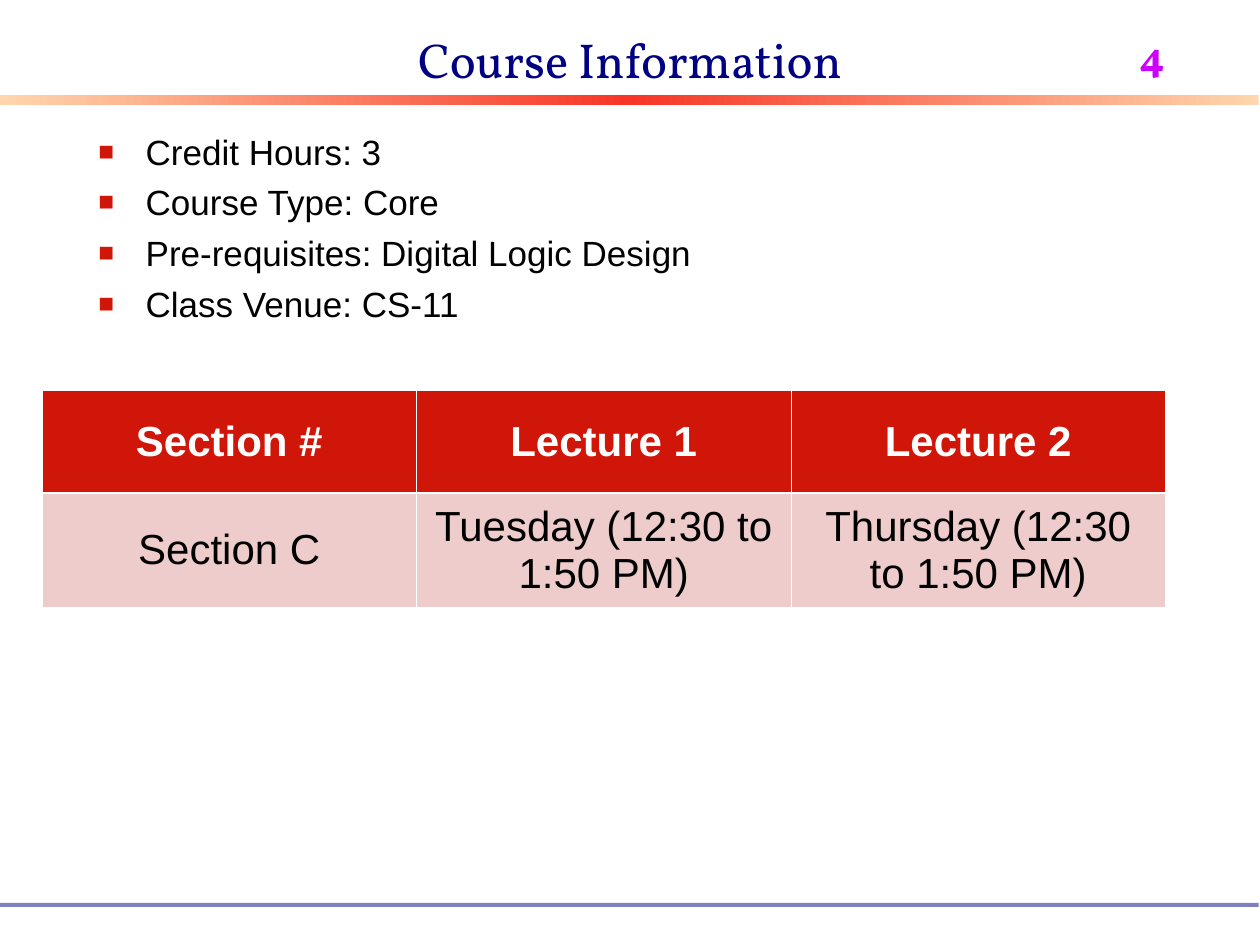
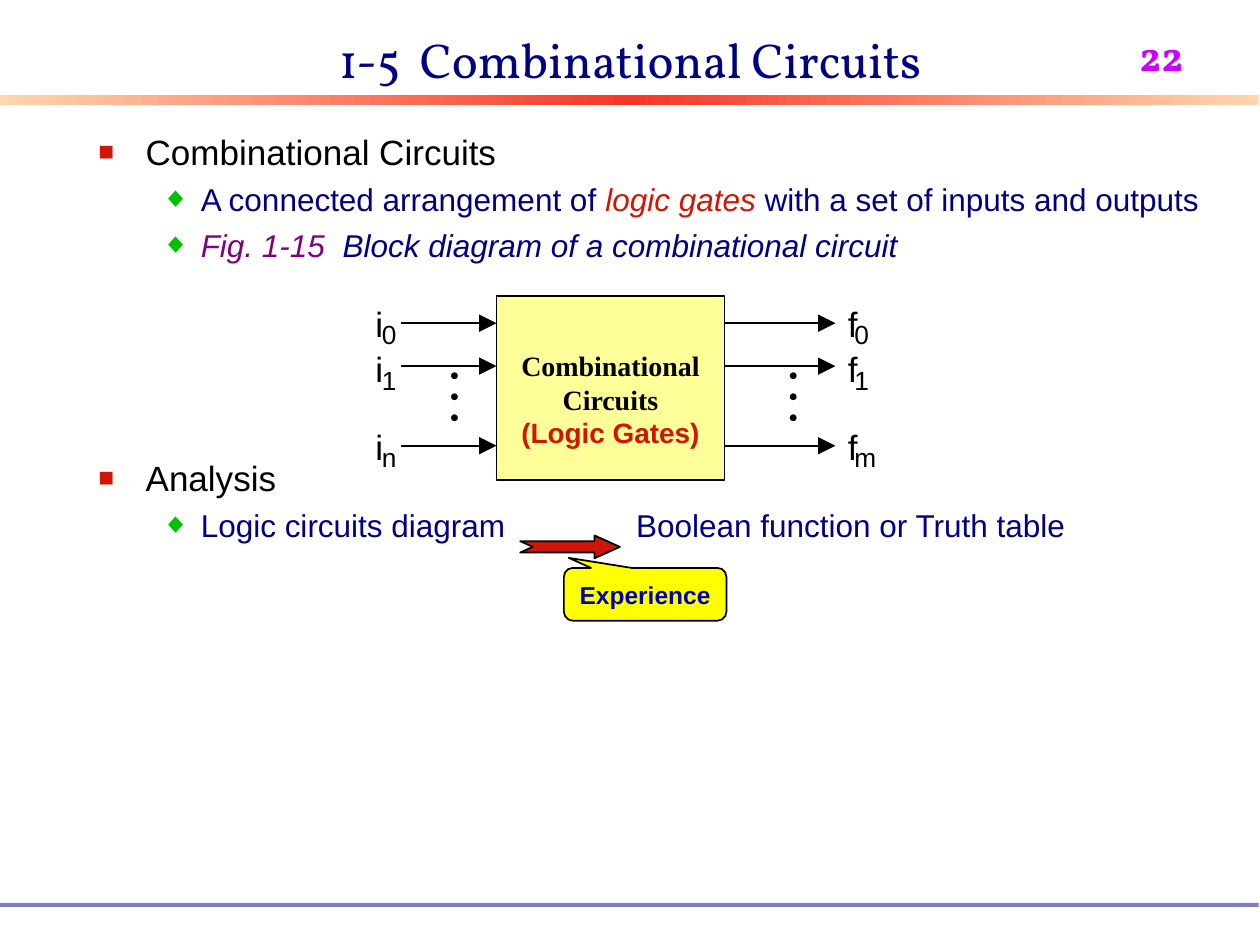
import copy
from dataclasses import dataclass

import lxml.etree
import pptx
import pptx.dml.color
import pptx.enum.shapes
import pptx.enum.text
import pptx.oxml.ns
import pptx.util

Pt = pptx.util.Pt
qn = pptx.oxml.ns.qn
SHAPE = pptx.enum.shapes.MSO_SHAPE
ALIGN = pptx.enum.text.PP_ALIGN
ANCHOR = pptx.enum.text.MSO_ANCHOR


@dataclass(frozen=True)
class Theme:
    # Colours
    black: str = "000000"
    white: str = "FFFFFF"
    navy: str = "000082"
    red: str = "D01608"
    pink: str = "EECCCC"
    green: str = "00C000"
    purple: str = "800080"
    magenta: str = "CC00FF"
    blue: str = "0000B6"
    yellow: str = "FFFF00"
    pale_yellow: str = "FFFF99"
    band: tuple = ("FFD6AD", "F73627", "FFD6AD")
    # Fonts
    display: str = "Vollkorn"
    sans: str = "Arial"
    serif: str = "Times New Roman"
    # Type sizes
    title: float = 28
    large: float = 24
    item: float = 20
    detail: float = 18
    block: float = 16
    subscript: float = 15
    callout: float = 14


THEME = Theme()


@dataclass(frozen=True)
class Bullet:
    char: str
    color: str
    percent: int
    left: float
    hang: float
    before: float
    size: float


BULLETS = (
    Bullet("■", THEME.red, 75, 27, 27, 5, THEME.item),
    Bullet("◆", THEME.green, 90, 58.5, 22.5, 4.5, THEME.detail),
)


# Basic helpers

def rgb(color):
    return pptx.dml.color.RGBColor.from_string(color)


def add_child(parent, tag, **attributes):
    return lxml.etree.SubElement(parent, qn(tag), attributes)


def add_span(para, text, size, color, font=THEME.sans, bold=False, italic=False):
    span = para.add_run()
    span.text = text
    span.font.name = font
    span.font.size = Pt(size)
    span.font.color.rgb = rgb(color)
    span.font.bold = bold
    span.font.italic = italic


def place(shape, left, top, width, height):
    shape.left, shape.top = Pt(left), Pt(top)
    shape.width, shape.height = Pt(width), Pt(height)


def add_text(page, left, top, width, height, text, size, color, wrap=False, **style):
    box = page.shapes.add_textbox(Pt(left), Pt(top), Pt(width), Pt(height))
    box.text_frame.word_wrap = wrap
    add_span(box.text_frame.paragraphs[0], text, size, color, **style)
    return box


def add_block(page, kind, left, top, width, height, color, outlined=True):
    block = page.shapes.add_shape(kind, Pt(left), Pt(top), Pt(width), Pt(height))
    block.shadow.inherit = False
    block.fill.solid()
    block.fill.fore_color.rgb = rgb(color)
    if outlined:
        block.line.color.rgb = rgb(THEME.black)
        block.line.width = Pt(1)
    else:
        block.line.fill.background()
    return block


# Parts that every page has

def add_frame(page, number):
    band = add_block(page, SHAPE.RECTANGLE, 0, 54, 719.3, 5.8, THEME.band[0], False)
    band.fill.gradient()
    band.fill.gradient_angle = 0
    stop_list = next(band.element.iter(qn("a:gsLst")))
    stop_list.insert(1, copy.deepcopy(stop_list[0]))
    for index, stop in enumerate(band.fill.gradient_stops):
        stop.position = index / 2
        stop.color.rgb = rgb(THEME.band[index])

    rule = add_block(page, SHAPE.RECTANGLE, 0, 516, 719.3, 2.3, THEME.navy, False)
    add_child(next(rule.element.iter(qn("a:srgbClr"))), "a:alpha", val="50000")

    add_text(page, 644, 13.4, 76, 72.7, str(number), THEME.large, THEME.magenta,
             wrap=True, font=THEME.display, bold=True)


def add_page(deck, title, number):
    page = deck.slides.add_slide(deck.slide_layouts[1])
    add_frame(page, number)
    place(page.shapes.title, 54, 0, 612, 54)
    frame = page.shapes.title.text_frame
    frame.auto_size = pptx.enum.text.MSO_AUTO_SIZE.NONE
    frame.vertical_anchor = ANCHOR.BOTTOM
    para = frame.paragraphs[0]
    para.alignment = ALIGN.CENTER
    add_span(para, title, THEME.title, THEME.navy, THEME.display)
    return page


# Bulleted list: each item is (level, spans, space before or None)

def format_bullet(para, level, before):
    bullet = BULLETS[level]
    para.level = level
    para.space_before = Pt(before)
    properties = para._p.get_or_add_pPr()
    properties.set("marL", str(Pt(bullet.left)))
    properties.set("indent", str(-Pt(bullet.hang)))
    add_child(add_child(properties, "a:buClr"), "a:srgbClr", val=bullet.color)
    add_child(properties, "a:buSzPct", val=str(bullet.percent * 1000))
    add_child(properties, "a:buFont", typeface=THEME.sans)
    add_child(properties, "a:buChar", char=bullet.char)


def fill_list(page, items):
    body = page.placeholders[1]
    place(body, 49, 70.8, 648.7, 443)
    frame = body.text_frame
    frame.auto_size = pptx.enum.text.MSO_AUTO_SIZE.NONE
    for index, (level, spans, gap) in enumerate(items):
        para = frame.add_paragraph() if index else frame.paragraphs[0]
        before = (gap or BULLETS[level].before) if index else 0
        format_bullet(para, level, before)
        for text, color, italic in spans:
            add_span(para, text, BULLETS[level].size, color, italic=italic)


# Schedule table

def set_borders(cell, top, bottom):
    properties = cell._tc.get_or_add_tcPr()
    for side, width in (("L", 0.45), ("R", 0.45), ("T", top), ("B", bottom)):
        line = add_child(properties, "a:ln" + side, w=str(Pt(width)))
        add_child(add_child(line, "a:solidFill"), "a:srgbClr", val=THEME.white)


def add_schedule(page, rows, left, top, column_width, heights):
    columns = len(rows[0])
    table = page.shapes.add_table(
        len(rows), columns, Pt(left), Pt(top),
        Pt(column_width * columns), Pt(sum(heights))).table
    for column in table.columns:
        column.width = Pt(column_width)
    for row_index, row in enumerate(rows):
        header = row_index == 0
        table.rows[row_index].height = Pt(heights[row_index])
        for column_index, text in enumerate(row):
            cell = table.cell(row_index, column_index)
            set_borders(cell, *((0.45, 1.47) if header else (1.47, 0.45)))
            cell.fill.solid()
            cell.fill.fore_color.rgb = rgb(THEME.red if header else THEME.pink)
            cell.vertical_anchor = ANCHOR.MIDDLE
            para = cell.text_frame.paragraphs[0]
            para.alignment = ALIGN.CENTER
            add_span(para, text, THEME.large,
                     THEME.white if header else THEME.black, bold=header)


# Circuit diagram

def add_wire(page, start, end, y):
    wire = page.shapes.add_connector(
        pptx.enum.shapes.MSO_CONNECTOR.STRAIGHT, Pt(start), Pt(y), Pt(end), Pt(y))
    wire.line.color.rgb = rgb(THEME.black)
    wire.line.width = Pt(1)
    add_child(wire.line._get_or_add_ln(), "a:tailEnd", type="triangle", w="lg", len="lg")
    add_child(wire.element.spPr, "a:effectLst")


def add_terminal(page, left, top, letter, subscript):
    add_text(page, left, top, 20, 31, letter, THEME.item, THEME.black)
    add_text(page, left + 3.7, top + 9.4, 25, 25, subscript, THEME.subscript, THEME.black)


def add_vertical_dots(page, center_x, center_y):
    width, height = 80, 36
    dots = add_text(page, center_x - width / 2, center_y - height / 2, width, height,
                    ". . .", THEME.large, THEME.black, font=THEME.serif, bold=True)
    dots.text_frame.paragraphs[0].alignment = ALIGN.CENTER
    dots.rotation = 270


def add_circuit(page):
    # Inputs, outputs and their wires
    rows = ((169.2, 184.7, "0", "0"), (195.1, 209.2, "1", "1"), (239.4, 254.7, "n", "m"))
    for top, wire_y, input_index, output_index in rows:
        add_terminal(page, 207.4, top, "i", input_index)
        add_terminal(page, 477.4, top, "f", output_index)
        add_wire(page, 229, 283.7, wire_y)
        add_wire(page, 414, 477.4, wire_y)
    for center_x in (251.9, 445.4):
        add_vertical_dots(page, center_x, 226.8)

    # Central block
    block = add_block(page, SHAPE.RECTANGLE, 283.7, 169.2, 130.3, 105.1, THEME.pale_yellow)
    frame = block.text_frame
    frame.word_wrap = False
    frame.vertical_anchor = ANCHOR.MIDDLE
    frame.margin_top = Pt(16)
    lines = (("Combinational", THEME.black, THEME.serif),
             ("Circuits", THEME.black, THEME.serif),
             ("(Logic Gates)", THEME.red, THEME.sans))
    for index, (text, color, font) in enumerate(lines):
        para = frame.add_paragraph() if index else frame.paragraphs[0]
        para.alignment = ALIGN.CENTER
        add_span(para, text, THEME.block, color, font, bold=True)


def add_analysis_step(page):
    arrow = add_block(page, SHAPE.NOTCHED_RIGHT_ARROW, 297.2, 306, 57, 13, THEME.red)
    arrow.adjustments[0] = 0.5
    arrow.adjustments[1] = 1.11
    add_text(page, 356.4, 285.6, 270, 28, "Boolean function or Truth table",
             THEME.detail, THEME.navy)

    callout = add_block(page, SHAPE.ROUNDED_RECTANGULAR_CALLOUT,
                        322.2, 324.5, 92.9, 30.2, THEME.yellow)
    for index, value in enumerate((-0.47, -0.69, 0.17)):
        callout.adjustments[index] = value
    frame = callout.text_frame
    frame.word_wrap = False
    frame.vertical_anchor = ANCHOR.MIDDLE
    para = frame.paragraphs[0]
    para.alignment = ALIGN.CENTER
    add_span(para, "Experience", THEME.callout, THEME.blue, bold=True)


# Pages

def build_course_page(deck):
    page = add_page(deck, "Course Information", 4)
    facts = ("Credit Hours: 3", "Course Type: Core",
             "Pre-requisites: Digital Logic Design", "Class Venue: CS-11")
    fill_list(page, [(0, [(fact, THEME.black, False)], None) for fact in facts])
    add_schedule(page, (
        ("Section #", "Lecture 1", "Lecture 2"),
        ("Section C", "Tuesday (12:30 to 1:50 PM)", "Thursday (12:30 to 1:50 PM)"),
    ), left=24, top=223.2, column_width=214, heights=(58.7, 65))


def build_circuit_page(deck):
    page = add_page(deck, "1-5  Combinational Circuits", 22)
    fill_list(page, [
        (0, [("Combinational Circuits", THEME.black, False)], None),
        (1, [("A connected arrangement of ", THEME.navy, False),
             ("logic gates", THEME.red, True),
             (" with a set of inputs and outputs", THEME.navy, False)], None),
        (1, [("Fig. 1-15", THEME.purple, True),
             ("  Block diagram of a combinational circuit", THEME.navy, True)], None),
        (0, [("Analysis", THEME.black, False)], 110),
        (1, [("Logic circuits diagram", THEME.navy, False)], None),
    ])
    add_circuit(page)
    add_analysis_step(page)


def main():
    deck = pptx.Presentation()
    deck.slide_width, deck.slide_height = Pt(720), Pt(540)
    build_course_page(deck)
    build_circuit_page(deck)
    deck.save("out.pptx")


if __name__ == "__main__":
    main()
